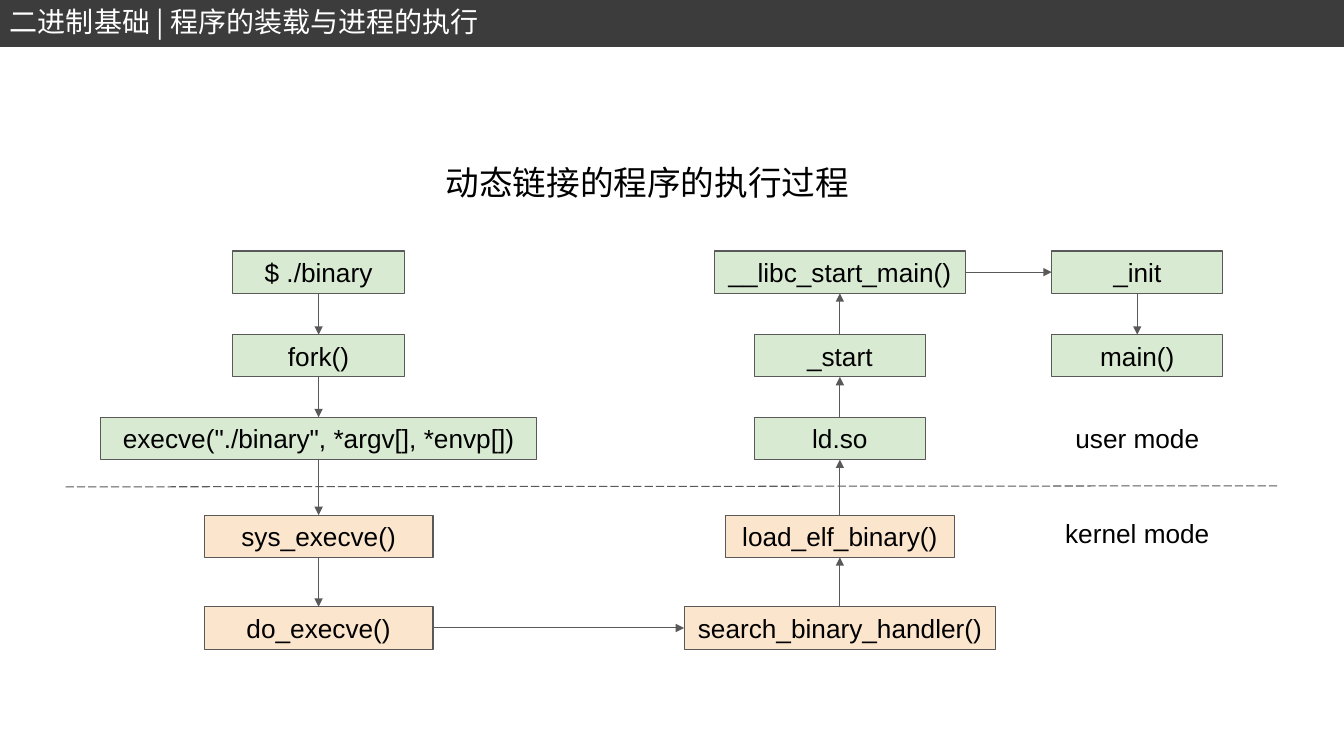
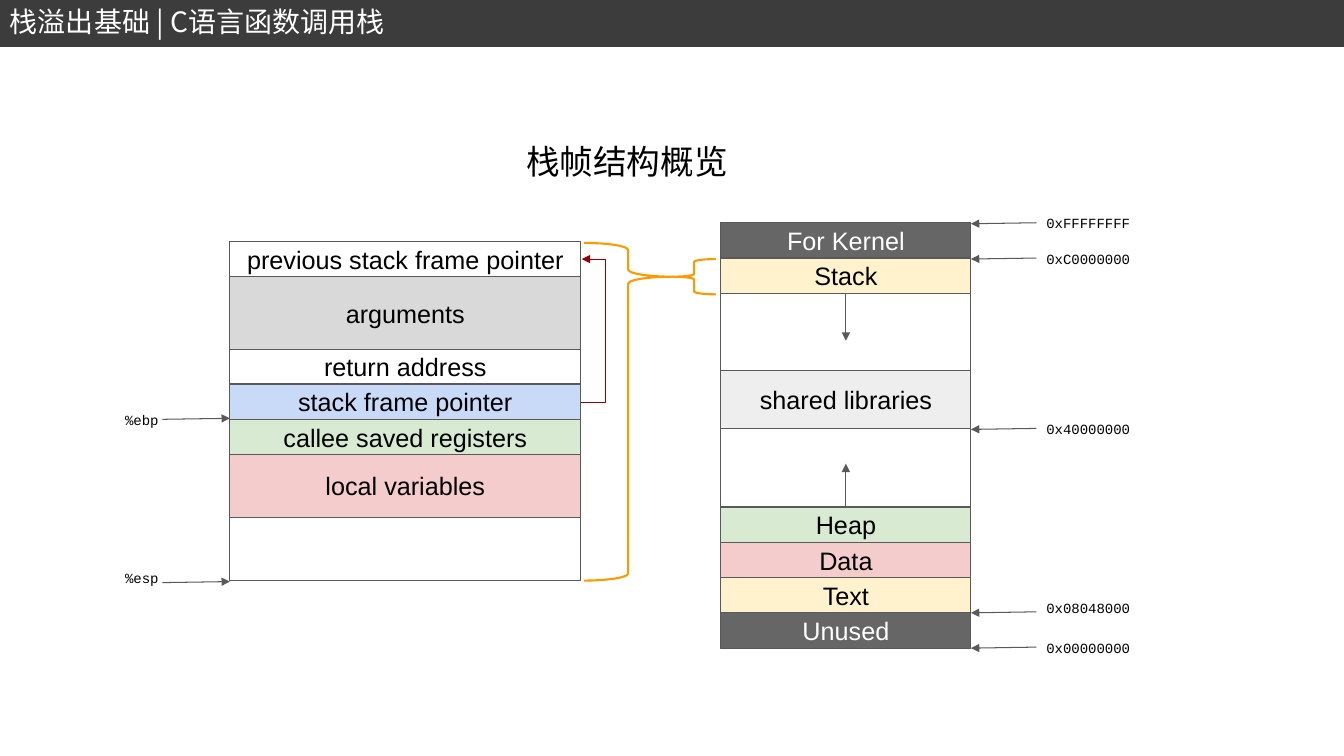
from itertools import accumulate

from lxml import etree
from pptx import Presentation
from pptx.dml.color import RGBColor
from pptx.enum import dml, shapes, text
from pptx.oxml import ns
from pptx.util import Inches, Pt

SANS, MONO, HAN = "Arial", "Courier New", "Noto Sans CJK SC"
BAND, EDGE, BRACE, RETURN = "3C3C3C", "595959", "FF9900", "980000"
BLACK, WHITE, DARK = "000000", "FFFFFF", "666666"
GREEN, ORANGE, YELLOW, PINK = "D9EAD3", "FCE5CD", "FFF2CC", "F4CCCC"
BLUE, GRAY, PALE = "C9DAF8", "D9D9D9", "EEEEEE"

LOAD_HEADER = "二进制基础 | 程序的装载与进程的执行"
LOAD_TITLE = "动态链接的程序的执行过程"
COLUMNS = [3.16, 8.33, 11.28]
ROWS = [2.49, 3.32, 4.14, 5.11, 6.02]
STEP_HEIGHT = 0.42
USER_ROWS = 3
STEPS = [
    ("$ ./binary", 0, 0, 1.7),
    ("fork()", 0, 1, 1.7),
    ('execve("./binary", *argv[], *envp[])', 0, 2, 4.33),
    ("sys_execve()", 0, 3, 2.27),
    ("do_execve()", 0, 4, 2.27),
    ("search_binary_handler()", 1, 4, 3.09),
    ("load_elf_binary()", 1, 3, 2.27),
    ("ld.so", 1, 2, 1.7),
    ("_start", 1, 1, 1.7),
    ("__libc_start_main()", 1, 0, 2.49),
    ("_init", 2, 0, 1.7),
    ("main()", 2, 1, 1.7),
]
MODES = [("user mode", 4.14), ("kernel mode", 5.08)]

STACK_HEADER = "栈溢出基础 | C语言函数调用栈"
STACK_TITLE = "栈帧结构概览"
MEMORY = [
    ("For Kernel", 0.35, DARK, WHITE),
    ("Stack", 0.35, YELLOW, BLACK),
    ("", 0.77, WHITE, BLACK),
    ("shared libraries", 0.57, PALE, BLACK),
    ("", 0.78, WHITE, BLACK),
    ("Heap", 0.35, GREEN, BLACK),
    ("Data", 0.35, PINK, BLACK),
    ("Text", 0.35, YELLOW, BLACK),
    ("Unused", 0.35, DARK, WHITE),
]
FRAME = [
    ("previous stack frame pointer", 0.34, WHITE, BLACK),
    ("arguments", 0.73, GRAY, BLACK),
    ("return address", 0.34, WHITE, BLACK),
    ("stack frame pointer", 0.35, BLUE, BLACK),
    ("callee saved registers", 0.35, GREEN, BLACK),
    ("local variables", 0.62, PINK, BLACK),
    ("", 0.63, WHITE, BLACK),
]
GROWTH = [(2.91, 3.38), (5.03, 4.6)]
ADDRESSES = [
    ("0xFFFFFFFF", 2.04, 2.22),
    ("0xC0000000", 2.39, 2.57),
    ("0x40000000", 4.08, 4.26),
    ("0x08048000", 5.86, 6.08),
    ("0x00000000", 6.25, 6.43),
]
REGISTERS = [("%ebp", 3.99, 4.15), ("%esp", 5.56, 5.77)]
BRACES = [
    (shapes.MSO_SHAPE.LEFT_BRACE, (6.67, 2.57, 0.43, 0.35), 0.5),
    (shapes.MSO_SHAPE.RIGHT_BRACE, (5.79, 2.41, 0.88, 3.35), 0.1),
]

TOP, LEFT, BOTTOM, RIGHT = range(4)
ALIGN = text.PP_ALIGN


def color(value):
    return RGBColor.from_string(value)


def write(shape, words, size=18, font=SANS, ink=BLACK, align=ALIGN.CENTER,
          inset=(0.1, 0.1), middle=True, wrap=True):
    frame = shape.text_frame
    frame.word_wrap = wrap
    frame.margin_left = frame.margin_right = Inches(inset[0])
    frame.margin_top = frame.margin_bottom = Inches(inset[1])
    frame.vertical_anchor = text.MSO_ANCHOR.MIDDLE if middle else text.MSO_ANCHOR.TOP
    paragraph = frame.paragraphs[0]
    paragraph.alignment = align
    run = paragraph.add_run()
    run.text = words
    run.font.size = Pt(size)
    run.font.name = font
    run.font.color.rgb = color(ink)
    if font == HAN:
        etree.SubElement(run._r.get_or_add_rPr(), ns.qn("a:ea"), typeface=font)


def label(slide, place, words, **fmt):
    write(slide.shapes.add_textbox(*map(Inches, place)), words, **fmt)


def outline(slide, kind, place, fill=None, line=EDGE, width=0.75):
    shape = slide.shapes.add_shape(kind, *map(Inches, place))
    shape.shadow.inherit = False
    if fill:
        shape.fill.solid()
        shape.fill.fore_color.rgb = color(fill)
    else:
        shape.fill.background()
    shape.line.color.rgb = color(line)
    shape.line.width = Pt(width)
    return shape


def box(slide, place, fill, words="", **fmt):
    shape = outline(slide, shapes.MSO_SHAPE.RECTANGLE, place, fill)
    if words:
        write(shape, words, **fmt)
    return shape


def link(slide, start=(0, 0), end=(0, 0), line=EDGE, arrow=True,
         kind=shapes.MSO_CONNECTOR.STRAIGHT):
    connector = slide.shapes.add_connector(kind, *map(Inches, (*start, *end)))
    connector.line.color.rgb = color(line)
    connector.line.width = Pt(0.75)
    if arrow:
        etree.SubElement(connector.line._get_or_add_ln(), ns.qn("a:tailEnd"), type="triangle")
    etree.SubElement(connector._element.spPr, ns.qn("a:effectLst"))
    return connector


def new_slide(deck, header):
    slide = deck.slides.add_slide(deck.slide_layouts[6])
    outline(slide, shapes.MSO_SHAPE.RECTANGLE, (0, 0.01, 13.33, 0.44), BAND, BAND, 2)
    label(slide, (0, 0, 6.17, 0.44), header, size=20, font=HAN, ink=WHITE,
          align=ALIGN.LEFT, inset=(0.1, 0.05), middle=False)
    return slide


def sites(column, row, next_column, next_row):
    if column != next_column:
        return RIGHT, LEFT
    return (BOTTOM, TOP) if next_row > row else (TOP, BOTTOM)


def loading_slide(deck):
    slide = new_slide(deck, LOAD_HEADER)
    label(slide, (4.29, 1.48, 4.44, 0.63), LOAD_TITLE, size=24, font=HAN,
          align=ALIGN.LEFT, inset=(0.13, 0.13), middle=False)
    step_style = dict(size=18.7, inset=(0.13, 0.13))
    boxes = []
    for words, column, row, width in STEPS:
        place = (COLUMNS[column] - width / 2, ROWS[row], width, STEP_HEIGHT)
        fill = GREEN if row < USER_ROWS else ORANGE
        boxes.append(box(slide, place, fill, words, **step_style))
    for i in range(len(STEPS) - 1):
        leave, enter = sites(*STEPS[i][1:3], *STEPS[i + 1][1:3])
        arrow = link(slide)
        arrow.begin_connect(boxes[i], leave)
        arrow.end_connect(boxes[i + 1], enter)
    boundary = link(slide, (0.65, 4.83), (12.69, 4.82), arrow=False)
    boundary.line.dash_style = dml.MSO_LINE.LONG_DASH
    for words, top in MODES:
        label(slide, (10.43, top, 1.7, STEP_HEIGHT), words, **step_style)


def pile(slide, left, top, width, layers):
    tops = accumulate((layer[1] for layer in layers), initial=top)
    for (words, height, fill, ink), y in zip(layers, tops):
        box(slide, (left, y, width, height), fill, words, ink=ink)


def stack_slide(deck):
    slide = new_slide(deck, STACK_HEADER)
    label(slide, (5.12, 1.35, 2.22, 0.5), STACK_TITLE, size=24, font=HAN,
          align=ALIGN.LEFT, inset=(0.1, 0.05), middle=False, wrap=False)
    pile(slide, 7.15, 2.21, 2.48, MEMORY)
    pile(slide, 2.28, 2.4, 3.48, FRAME)
    for start, end in GROWTH:
        link(slide, (8.39, start), (8.39, end))
    for words, top, edge in ADDRESSES:
        label(slide, (10.28, top, 1.9, 0.35), words, size=10, font=MONO, align=ALIGN.LEFT)
        link(slide, (10.28, edge - 0.01), (9.63, edge))
    for words, top, edge in REGISTERS:
        label(slide, (0.79, top, 0.88, 0.35), words, size=10, font=MONO, align=ALIGN.RIGHT)
        link(slide, (1.61, edge + 0.01), (2.28, edge))
    for kind, place, tip in BRACES:
        brace = outline(slide, kind, place, line=BRACE, width=1.5)
        brace.adjustments[0] = 0.08
        brace.adjustments[1] = tip
    saved = link(slide, (5.76, 3.99), (5.77, 2.57), RETURN, kind=shapes.MSO_CONNECTOR.ELBOW)
    guides = saved._element.spPr.prstGeom.get_or_add_avLst()
    etree.SubElement(guides, ns.qn("a:gd"), name="adj1", fmla="val 2500000")


def main():
    deck = Presentation()
    deck.slide_width, deck.slide_height = Inches(13.33), Inches(7.5)
    loading_slide(deck)
    stack_slide(deck)
    deck.save("out.pptx")


if __name__ == "__main__":
    main()
